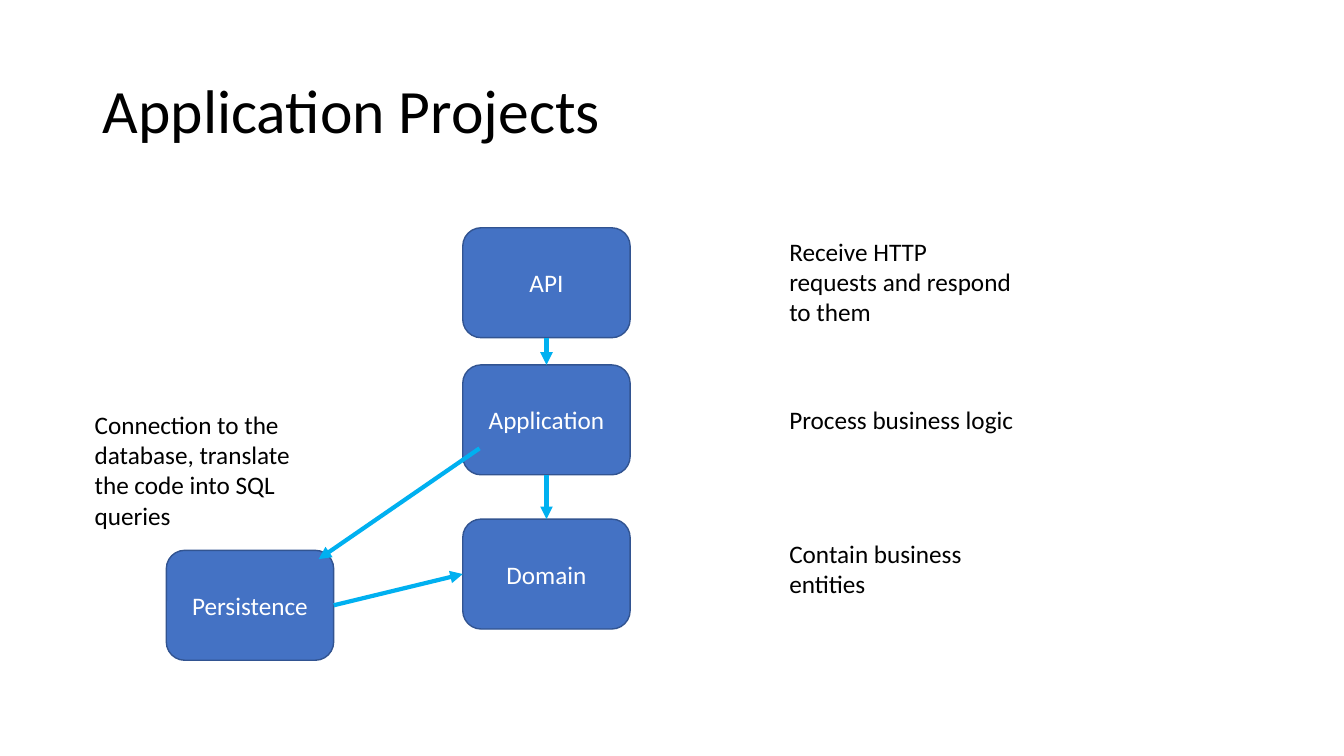
from dataclasses import dataclass

from lxml.etree import SubElement
from pptx import Presentation
from pptx.dml.color import RGBColor
from pptx.enum.shapes import MSO_CONNECTOR as Connector, MSO_SHAPE as Shape
from pptx.enum.text import MSO_ANCHOR as Anchor, MSO_AUTO_SIZE as AutoSize, PP_ALIGN as Align
from pptx.oxml.ns import qn
from pptx.util import Inches, Pt

TITLE = "Application Projects"
TITLE_AREA = (0.92, 0.4, 11.5, 1.45)

# project: left, top
PROJECTS = {
    "API": (4.59, 2.26),
    "Application": (4.59, 3.62),
    "Domain": (4.59, 5.15),
    "Persistence": (1.65, 5.46),
}
PROJECT_SIZE = (1.66, 1.09)

# text, left, top, height
NOTES = [
    ("Receive HTTP requests and respond to them", 7.73, 2.29, 1.01),
    ("Process business logic", 7.73, 3.96, 0.4),
    ("Contain business entities", 7.73, 5.29, 0.71),
    ("Connection to the database, translate the code into SQL queries", 0.84, 4.01, 1.31),
]
NOTE_WIDTH = 2.48

# Points on a project box, as fractions of its width and height
TOP, BOTTOM, LEFT, RIGHT = (0.5, 0), (0.5, 1), (0, 0.5), (1, 0.5)
LOWER_LEFT, UPPER_RIGHT = (0.1, 0.76), (0.91, 0.08)

DEPENDENCIES = [
    ("Application", LOWER_LEFT, "Persistence", UPPER_RIGHT),
    ("Application", BOTTOM, "Domain", TOP),
    ("API", BOTTOM, "Application", TOP),
    ("Persistence", RIGHT, "Domain", LEFT),
]


@dataclass(frozen=True)
class Theme:
    font: str = "Calibri"
    title_size: int = 44
    text_size: int = 18
    text: str = "000000"
    box_text: str = "FFFFFF"
    box_fill: str = "4472C4"
    box_line: str = "325491"
    arrow: str = "00B0F0"
    box_line_width: int = 1
    arrow_width: int = 3


THEME = Theme()


def write(shape, text, size, color, align, frame_format):
    frame = shape.text_frame
    for name, value in {"word_wrap": True, **frame_format}.items():
        setattr(frame, name, value)
    para = frame.paragraphs[0]
    para.alignment = align
    span = para.add_run()
    span.text = text
    for name, value in {"name": THEME.font, "size": Pt(size), "bold": False}.items():
        setattr(span.font, name, value)
    span.font.color.rgb = RGBColor.from_string(color)
    return para


def set_line(line, color, width):
    line.color.rgb = RGBColor.from_string(color)
    line.width = Pt(width)


def add_title(slide):
    title = slide.shapes.title
    for name, value in zip(("left", "top", "width", "height"), TITLE_AREA):
        setattr(title, name, Inches(value))
    para = write(title, TITLE, THEME.title_size, THEME.text, Align.LEFT,
                 {"vertical_anchor": Anchor.MIDDLE, "auto_size": AutoSize.NONE})
    para.line_spacing = 0.9


def add_project(slide, name, position):
    box = slide.shapes.add_shape(Shape.ROUNDED_RECTANGLE, *map(Inches, position + PROJECT_SIZE))
    box.shadow.inherit = False
    box.fill.solid()
    box.fill.fore_color.rgb = RGBColor.from_string(THEME.box_fill)
    set_line(box.line, THEME.box_line, THEME.box_line_width)
    write(box, name, THEME.text_size, THEME.box_text, Align.CENTER,
          {"vertical_anchor": Anchor.MIDDLE})


def add_note(slide, text, left, top, height):
    box = slide.shapes.add_textbox(*map(Inches, (left, top, NOTE_WIDTH, height)))
    write(box, text, THEME.text_size, THEME.text, Align.LEFT,
          {"auto_size": AutoSize.SHAPE_TO_FIT_TEXT})


def point_on(project, anchor):
    return [Inches(start + length * part)
            for start, length, part in zip(PROJECTS[project], PROJECT_SIZE, anchor)]


def add_arrow(slide, source, source_anchor, target, target_anchor):
    arrow = slide.shapes.add_connector(
        Connector.STRAIGHT, *point_on(source, source_anchor), *point_on(target, target_anchor))
    set_line(arrow.line, THEME.arrow, THEME.arrow_width)
    SubElement(arrow.line._get_or_add_ln(), qn("a:tailEnd"), type="triangle")
    SubElement(arrow._element.spPr, qn("a:effectLst"))


def main():
    deck = Presentation()
    deck.slide_width, deck.slide_height = Inches(13.33), Inches(7.5)
    slide = deck.slides.add_slide(deck.slide_layouts.get_by_name("Title Only"))
    add_title(slide)
    for name, position in PROJECTS.items():
        add_project(slide, name, position)
    for note in NOTES:
        add_note(slide, *note)
    for dependency in DEPENDENCIES:
        add_arrow(slide, *dependency)
    deck.save("out.pptx")


if __name__ == "__main__":
    main()
